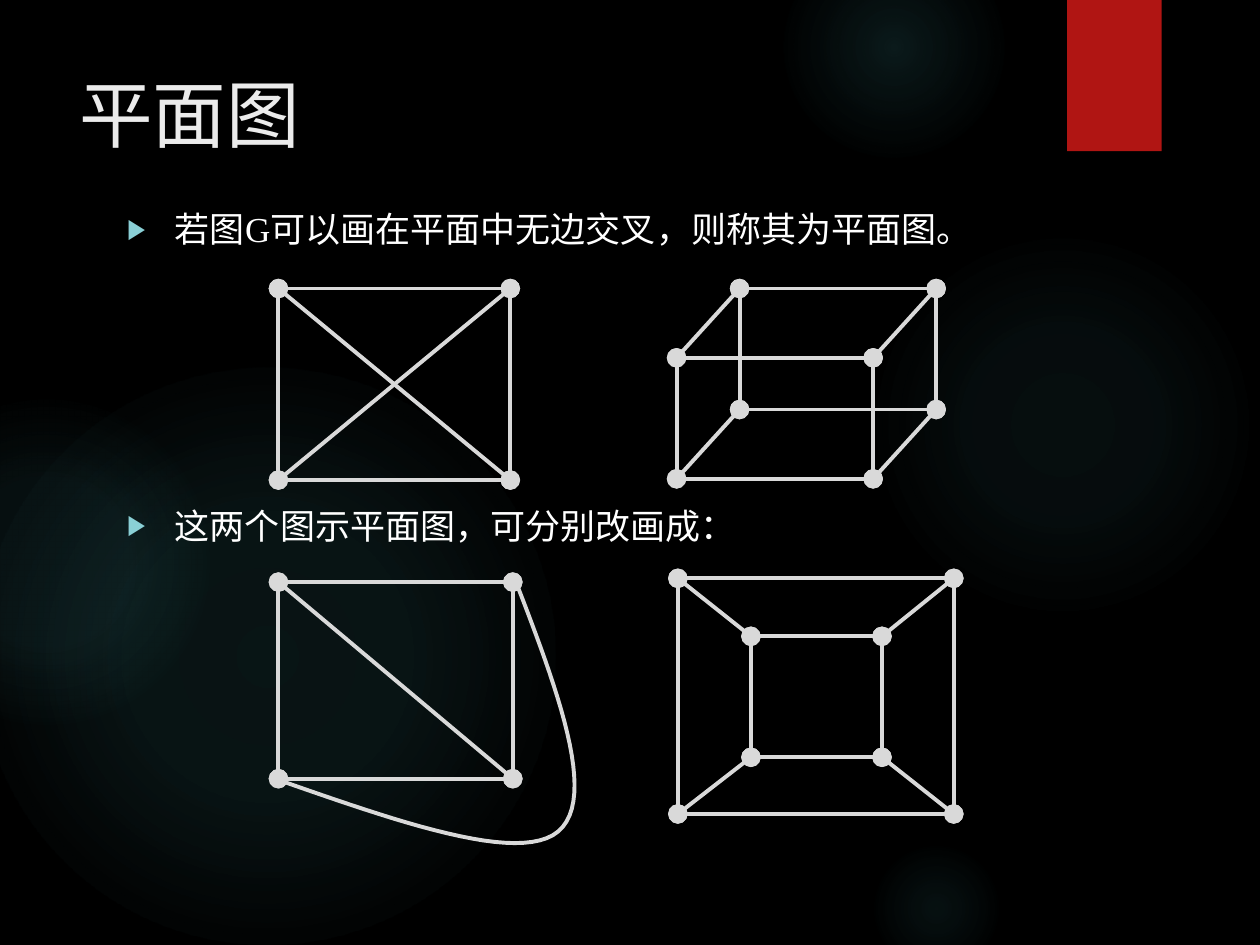
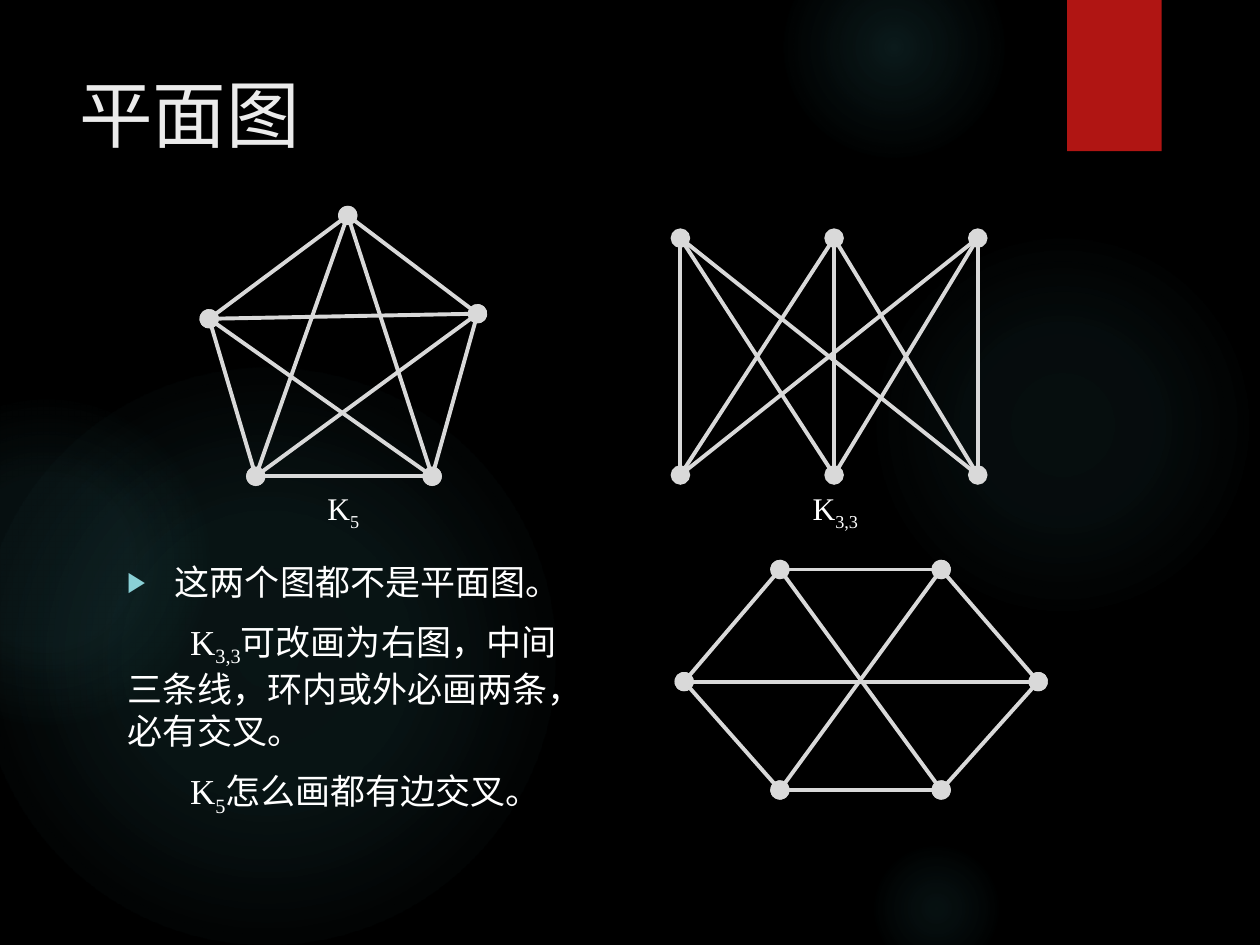
from itertools import combinations, product

from pptx import Presentation
from pptx import util as u
from pptx.dml.color import RGBColor
from pptx.enum import shapes, text
from pptx.oxml import parse_xml
from pptx.oxml.ns import nsdecls, qn

COLORS = {
    "background": "000000",
    "glow": "50B9C1",
    "tab": "B01513",
    "title": "EBEBEB",
    "body": "FFFFFF",
    "bullet": "8AD0D6",
    "edge": "D9D9D9",
}
SANS = "TeX Gyre Adventor"
SERIF = "Times New Roman"
EDGE_WIDTH = u.Pt(2.25)

# Glow circles: left, top, diameter, then (position %, alpha %) stops
GLOWS = [
    (6.89, 1.83, 3.08, [(0, 7), (36, 6), (69, 0)]),
    (6.22, -0.5, 1.75, [(0, 14), (36, 7), (73, 0)]),
    (6.89, 6.67, 1.08, [(0, 9), (36, 5), (66, 0)]),
    (-0.17, 2.92, 4.58, [(0, 11), (36, 10), (75, 0)]),
    (-0.92, 3.17, 2.58, [(0, 8), (36, 8), (72, 0)]),
]


def color(name):
    return RGBColor.from_string(COLORS[name])


# Shared slide frame
def add_preset(slide, kind, left, top, width, height):
    shape = slide.shapes.add_shape(
        kind, u.Inches(left), u.Inches(top), u.Inches(width), u.Inches(height))
    shape.shadow.inherit = False
    shape.line.fill.background()
    return shape


def add_glow(slide, left, top, diameter, stops):
    shape = add_preset(slide, shapes.MSO_SHAPE.OVAL, left, top, diameter, diameter)
    shape.fill.background()
    stop_xml = "".join(
        f'<a:gs pos="{position * 1000}"><a:srgbClr val="{COLORS["glow"]}">'
        f'<a:alpha val="{alpha * 1000}"/></a:srgbClr></a:gs>'
        for position, alpha in stops)
    gradient = parse_xml(
        f'<a:gradFill {nsdecls("a")} rotWithShape="1"><a:gsLst>{stop_xml}</a:gsLst>'
        '<a:path path="circle"><a:fillToRect l="50000" t="50000" r="50000" b="50000"/>'
        '</a:path></a:gradFill>')
    properties = shape._element.spPr
    properties.replace(properties.find(qn("a:noFill")), gradient)


def add_framed_slide(presentation, title):
    slide = presentation.slides.add_slide(presentation.slide_layouts[6])
    slide.background.fill.solid()
    slide.background.fill.fore_color.rgb = color("background")
    for glow in GLOWS:
        add_glow(slide, *glow)
    tab = add_preset(slide, shapes.MSO_SHAPE.RECTANGLE, 8.47, 0, 0.75, 1.2)
    tab.fill.solid()
    tab.fill.fore_color.rgb = color("tab")
    frame = add_text_frame(slide, 0.53, 0.5, 7.72, 1.53)
    add_runs(frame.paragraphs[0], [(title, SANS)], 42, "title")
    return slide


# Text
def add_text_frame(slide, left, top, width, height, wrap=True):
    frame = slide.shapes.add_textbox(
        u.Inches(left), u.Inches(top), u.Inches(width), u.Inches(height)).text_frame
    frame.word_wrap = wrap
    frame.vertical_anchor = text.MSO_ANCHOR.TOP
    return frame


def add_runs(paragraph, runs, size, color_name="body"):
    """Each run is (text, font) or (text, font, baseline percent)."""
    for words, font, *baseline in runs:
        for number, line in enumerate(words.split("\n")):
            if number:
                paragraph.add_line_break()
            run = paragraph.add_run()
            run.text = line
            run.font.name = font
            run.font.size = u.Pt(size)
            run.font.color.rgb = color(color_name)
            if baseline:
                run._r.get_or_add_rPr().set("baseline", str(baseline[0] * 1000))


def symbol(subscript):
    return [("K", SERIF), (subscript, SERIF, -25)]


def set_bullet(paragraph):
    properties = paragraph._p.get_or_add_pPr()
    properties.set("marL", str(u.Inches(0.38)))
    properties.set("indent", str(u.Inches(-0.38)))
    for xml in (f'<a:buClr {nsdecls("a")}><a:srgbClr val="{COLORS["bullet"]}"/></a:buClr>',
                f'<a:buSzPct {nsdecls("a")} val="80000"/>',
                f'<a:buFont {nsdecls("a")} typeface="Arial"/>',
                f'<a:buChar {nsdecls("a")} char="▶"/>'):
        properties.append(parse_xml(xml))


def add_body(slide, box, paragraphs):
    """Each paragraph is (runs, bulleted, space before in points)."""
    frame = add_text_frame(slide, *box)
    for number, (runs, bulleted, space_before) in enumerate(paragraphs):
        paragraph = frame.add_paragraph() if number else frame.paragraphs[0]
        if number:
            paragraph.space_before = u.Pt(space_before)
        if bulleted:
            set_bullet(paragraph)
        else:
            paragraph._p.get_or_add_pPr().set("indent", str(u.Inches(0.5)))
        add_runs(paragraph, runs, 20)


def add_graph_label(slide, left, top, width, subscript):
    frame = add_text_frame(slide, left, top, width, 0.4, wrap=False)
    add_runs(frame.paragraphs[0], symbol(subscript), 18)


# Graphs
def corners(width, height, left=0, top=0):
    return [(left, top), (left + width, top),
            (left + width, top + height), (left, top + height)]


def ring(count, first=0):
    return [(first + i, first + (i + 1) % count) for i in range(count)]


def style_edge(line):
    line.color.rgb = color("edge")
    line.width = EDGE_WIDTH


def add_graph(slide, left, top, vertices, dotted_edges, plain_edges):
    """Dotted edges carry the vertex dots at both ends."""
    group = slide.shapes.add_group_shape()
    points = [(u.Inches(left + x), u.Inches(top + y)) for x, y in vertices]
    for number, (start, end) in enumerate(dotted_edges + plain_edges):
        edge = group.shapes.add_connector(
            shapes.MSO_CONNECTOR.STRAIGHT, *points[start], *points[end])
        style_edge(edge.line)
        if number < len(dotted_edges):
            for tag in ("headEnd", "tailEnd"):
                edge.line._get_or_add_ln().append(parse_xml(
                    f'<a:{tag} {nsdecls("a")} type="oval" w="lg" len="lg"/>'))
        edge._element.spPr.append(parse_xml(f'<a:effectLst {nsdecls("a")}/>'))
    return group


def cubic_points(p0, p1, p2, p3, steps=24):
    for step in range(1, steps + 1):
        t = step / steps
        weights = ((1 - t) ** 3, 3 * t * (1 - t) ** 2, 3 * t * t * (1 - t), t ** 3)
        yield tuple(sum(w * p[axis] for w, p in zip(weights, (p0, p1, p2, p3)))
                    for axis in (0, 1))


def add_curved_edge(group, left, top, segments):
    points = [segments[0][0]]
    for segment in segments:
        points += cubic_points(*segment)
    points = [(u.Inches(left + x), u.Inches(top + y)) for x, y in points]
    builder = group.shapes.build_freeform(*points[0])
    builder.add_line_segments(points[1:], close=False)
    curve = builder.convert_to_shape()
    curve.shadow.inherit = False
    curve.fill.background()
    style_edge(curve.line)


# Slides
def build_planar_slide(presentation):
    slide = add_framed_slide(presentation, "平面图")
    add_body(slide, (0.91, 1.6, 8.05, 5.23), [
        ([("若图G可以画在平面中无边交叉，则称其为平面图。", SERIF)], True, 0),
        ([("这两个图示平面图，可分别改画成：", SERIF)], True, 145.5),
    ])

    # Complete graph on four vertices, then without crossings
    add_graph(slide, 2.21, 2.29, corners(1.84, 1.52), ring(4), [(0, 2), (1, 3)])
    redrawn = add_graph(slide, 2.21, 4.62, corners(1.86, 1.56), ring(4), [(0, 2)])
    add_curved_edge(redrawn, 2.21, 4.62, [
        ((-0.03, 1.56), (0.94, 1.9), (1.91, 2.24), (2.22, 1.98)),
        ((2.22, 1.98), (2.54, 1.71), (2.21, 0.84), (1.87, -0.04)),
    ])

    # Cube, then as nested squares
    squares = ring(4) + ring(4, 4)
    links = [(i, i + 4) for i in range(4)]
    add_graph(slide, 5.37, 2.29,
              corners(1.56, 0.96, 0.5, 0) + corners(1.56, 0.96, 0, 0.55), squares, links)
    add_graph(slide, 5.38, 4.59,
              corners(2.19, 1.87) + corners(1.04, 0.96, 0.58, 0.46), squares, links)


def build_nonplanar_slide(presentation):
    slide = add_framed_slide(presentation, "平面图")
    add_body(slide, (0.91, 4.4, 8.01, 2.43), [
        ([("这两个图都不是平面图。", SANS)], True, 0),
        (symbol("3,3") + [("可改画为右图，中间\n三条线，环内或外必画两条，\n必有交叉。", SANS)],
         False, 10),
        (symbol("5") + [("怎么画都有边交叉。", SANS)], False, 10),
    ])

    # K5: outer ring plus every remaining pair
    pentagon = [(1.1, 0), (2.13, 0.78), (1.77, 2.07), (0.37, 2.07), (0, 0.82)]
    sides = ring(5)
    diagonals = [(a, b) for a, b in combinations(range(5), 2)
                 if (a, b) not in sides and (b, a) not in sides]
    add_graph(slide, 1.66, 1.71, pentagon, sides, diagonals)
    add_graph_label(slide, 2.5, 3.83, 0.45, "5")

    # K3,3: two rows of three
    rows = [(x, y) for y, x in product((0, 1.88), (0, 1.22, 2.36))]
    add_graph(slide, 5.4, 1.89, rows, [(i, i + 3) for i in range(3)],
              [(a, b + 3) for a, b in product(range(3), repeat=2) if a != b])
    add_graph_label(slide, 6.35, 3.83, 0.58, "3,3")

    # K3,3 as a hexagon with three long diagonals
    hexagon = [(0, 0.89), (0.76, 0), (2.04, 0), (2.81, 0.89), (2.04, 1.75), (0.76, 1.75)]
    add_graph(slide, 5.43, 4.52, hexagon, ring(6), [(i, i + 3) for i in range(3)])


def main():
    presentation = Presentation()
    presentation.slide_width = u.Inches(10)
    presentation.slide_height = u.Inches(7.5)
    build_planar_slide(presentation)
    build_nonplanar_slide(presentation)
    presentation.save("out.pptx")


if __name__ == "__main__":
    main()
